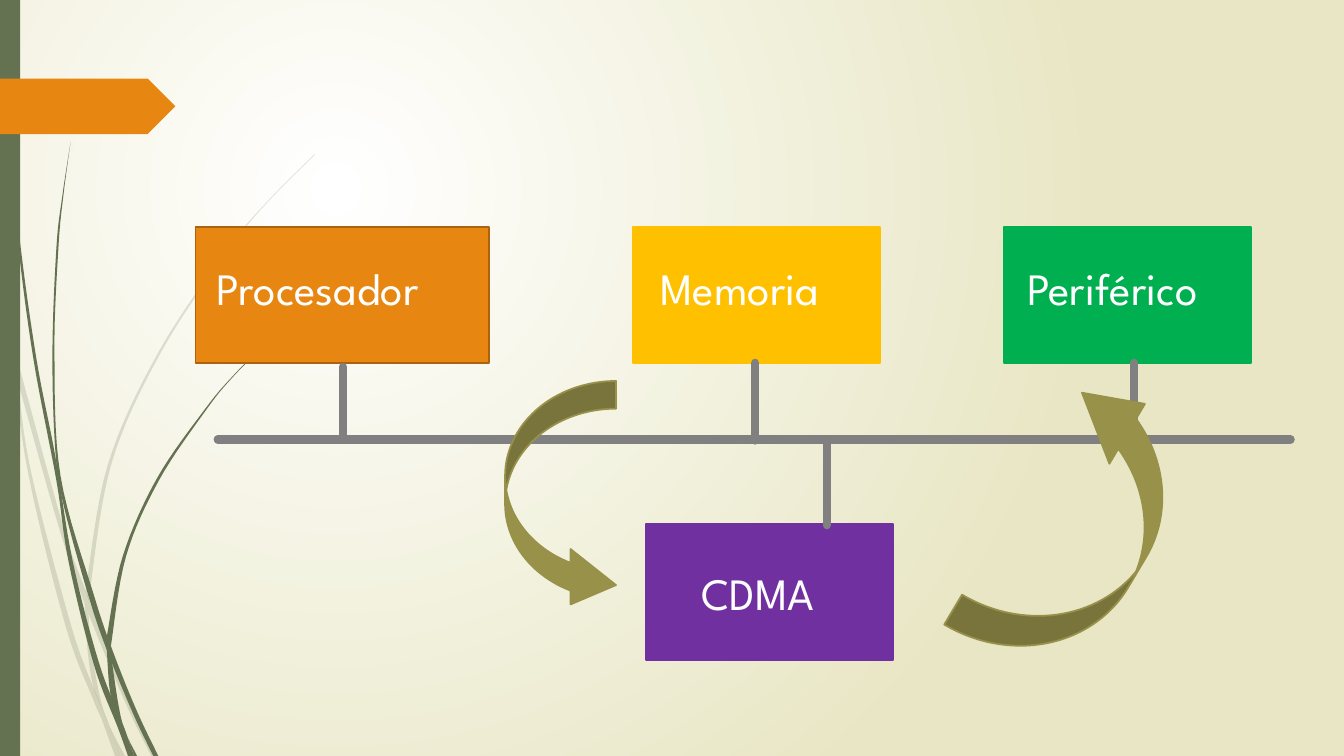
from lxml import etree
from pptx import Presentation
from pptx.dml.color import RGBColor
from pptx.enum.shapes import MSO_CONNECTOR, MSO_SHAPE
from pptx.enum.text import MSO_AUTO_SIZE
from pptx.oxml.ns import qn
from pptx.util import Inches, Pt

RECTANGLE = MSO_SHAPE.RECTANGLE
PENTAGON = MSO_SHAPE.PENTAGON
CURVED_RIGHT = MSO_SHAPE.CURVED_RIGHT_ARROW
CURVED_UP = MSO_SHAPE.CURVED_UP_ARROW
STRAIGHT = MSO_CONNECTOR.STRAIGHT
FIT_TEXT = MSO_AUTO_SIZE.SHAPE_TO_FIT_TEXT

WHITE = RGBColor(0xFF, 0xFF, 0xFF)
CREAM = RGBColor(0xE8, 0xE6, 0xC4)
MOSS = RGBColor(0x64, 0x72, 0x52)
ORANGE = RGBColor(0xE7, 0x87, 0x12)
DARK_ORANGE = RGBColor(0xAB, 0x64, 0x0D)
PURPLE = RGBColor(0x70, 0x30, 0xA0)
YELLOW = RGBColor(0xFF, 0xC0, 0x00)
GREEN = RGBColor(0x00, 0xB0, 0x50)
GREY = RGBColor(0x80, 0x80, 0x80)
OLIVE = RGBColor(0x98, 0x91, 0x4A)
FONT = "League Spartan"


def paint(shape, fill, line=None):
    shape.shadow.inherit = False
    shape.fill.solid()
    shape.fill.fore_color.rgb = fill
    if line is None:
        shape.line.fill.background()
    else:
        shape.line.color.rgb = line
        shape.line.width = Pt(1.25)


def smooth(points, steps=8):
    """Catmull-Rom curve through the points."""
    padded = [points[0], *points, points[-1]]
    curve = []
    for a, b, c, d in zip(padded, padded[1:], padded[2:], padded[3:]):
        for step in range(steps):
            t = step / steps
            curve.append(tuple(
                (2 * q + (r - p) * t + (2 * p - 5 * q + 4 * r - s) * t**2
                 + (3 * q - p - 3 * r + s) * t**3) / 2
                for p, q, r, s in zip(a, b, c, d)))
    return curve + [points[-1]]


presentation = Presentation()
presentation.slide_width = Inches(13.33)
presentation.slide_height = Inches(7.5)
slide = presentation.slides.add_slide(presentation.slide_layouts[6])
shapes = slide.shapes

# Background: circular gradient
background = slide.background.fill
background.gradient()
for stop, color in zip(background.gradient_stops, (WHITE, CREAM)):
    stop.color.rgb = color
gradient = next(slide.element.iter(qn("a:gradFill")))
linear = gradient.find(qn("a:lin"))
circle = etree.Element(qn("a:path"), path="circle")
etree.SubElement(circle, qn("a:fillToRect"), l="50000", t="50000", r="100000", b="100000")
gradient.replace(linear, circle)

# Grass blades: left edge and right edge, from tip to root
faint_blades = [
    ([(0, 2.99), (0.1, 3.44), (0.28, 4.7), (0.65, 6.21), (0.92, 6.93), (1.01, 7.14), (1.14, 7.5)],
     [(0, 2.82), (0.09, 3.22), (0.17, 3.76), (0.31, 4.69), (0.7, 6.19), (0.93, 6.83),
      (1.05, 7.11), (1.19, 7.5)]),
    ([(0.17, 3.76), (0.58, 5.22), (0.84, 5.99), (1.23, 6.94), (1.5, 7.5)],
     [(0.14, 3.45), (0.62, 5.2), (0.85, 5.86), (1.27, 6.92), (1.55, 7.5)]),
    ([(3.12, 1.53), (2.68, 1.97), (2.28, 2.44), (1.58, 3.48), (1.07, 4.61), (0.85, 5.86)],
     [(3.12, 1.54), (2.68, 1.98), (2.29, 2.45), (1.6, 3.49), (1.1, 4.62), (0.88, 5.96)]),
    ([(0.84, 5.99), (0.87, 6.46), (0.93, 6.83), (1.05, 7.11), (1.19, 7.5)],
     [(0.88, 6.1), (0.91, 6.46), (1.03, 7.06), (1.24, 7.5)]),
]
dark_blades = [
    ([(0.03, 0), (0.07, 1.1), (0.17, 2.33), (0.33, 3.55), (0.56, 4.77), (0.68, 5.57),
      (0.93, 6.59), (1.17, 7.22), (1.27, 7.5)],
     [(0.04, 0), (0.08, 1.09), (0.19, 2.32), (0.36, 3.55), (0.55, 4.53), (0.72, 5.56),
      (0.98, 6.57), (1.22, 7.19), (1.33, 7.5)]),
    ([(0.7, 1.41), (0.62, 1.93), (0.56, 2.45), (0.52, 3.49), (0.55, 4.49), (0.64, 5.05),
      (0.88, 5.92), (1.06, 6.45), (1.32, 7.08), (1.52, 7.5)],
     [(0.7, 1.41), (0.63, 1.93), (0.58, 2.45), (0.54, 3.49), (0.6, 4.72),
      (0.93, 5.9), (1.13, 6.49), (1.36, 7.06), (1.57, 7.5)]),
    ([(2.6, 3.44), (2.31, 3.73), (2.04, 4.05), (1.56, 4.74), (1.22, 5.51), (1.06, 6.31)],
     [(2.61, 3.44), (2.31, 3.74), (2.05, 4.06), (1.58, 4.76), (1.25, 5.52), (1.1, 6.41)]),
    ([(1.06, 6.31), (1.06, 6.45), (1.1, 6.91), (1.22, 7.19), (1.33, 7.5)],
     [(1.1, 6.41), (1.11, 6.56), (1.21, 7.16), (1.36, 7.5)]),
]
for blades, opacity in ((faint_blades, 20), (dark_blades, 100)):
    for left_edge, right_edge in blades:
        outline = [(Inches(x), Inches(y))
                   for x, y in smooth(left_edge) + smooth(right_edge)[::-1]]
        builder = shapes.build_freeform(*outline[0])
        builder.add_line_segments(outline[1:], close=True)
        blade = builder.convert_to_shape()
        paint(blade, MOSS)
        if opacity < 100:
            color = blade.fill._xPr.find(qn("a:solidFill"))[0]
            etree.SubElement(color, qn("a:alpha"), val=str(opacity * 1000))

# Side band and page tag
band = shapes.add_shape(RECTANGLE, 0, 0, Inches(0.2), Inches(7.5))
paint(band, MOSS)
tag = shapes.add_shape(PENTAGON, 0, Inches(0.78), Inches(1.74), Inches(0.55))
paint(tag, ORANGE)

# Device boxes: left, top, width, fill, outline
for left, top, width, fill, line in (
    (1.94, 2.25, 2.91, ORANGE, DARK_ORANGE),
    (6.41, 5.2, 2.45, PURPLE, PURPLE),
    (6.28, 2.25, 2.45, YELLOW, YELLOW),
    (9.96, 2.25, 2.45, GREEN, GREEN),
):
    box = shapes.add_shape(RECTANGLE, Inches(left), Inches(top), Inches(width), Inches(1.35))
    paint(box, fill, line)

# Device names
for name, left, top, width in (
    ("Procesador", 2.05, 2.54, 2.72),
    ("Memoria", 6.45, 2.54, 2.25),
    ("Periférico", 10.09, 2.54, 2.23),
    ("CDMA", 6.86, 5.56, 1.7),
):
    label = shapes.add_textbox(Inches(left), Inches(top), Inches(width), Inches(0.64))
    label.text_frame.word_wrap = True
    label.text_frame.auto_size = FIT_TEXT
    run = label.text_frame.paragraphs[0].add_run()
    run.text = name
    run.font.name = FONT
    run.font.size = Pt(32)
    run.font.color.rgb = WHITE

# Bus and its four stems
for x1, y1, x2, y2 in (
    (2.16, 4.36, 12.8, 4.36),
    (3.4, 3.64, 3.4, 4.35),
    (7.49, 3.6, 7.49, 4.37),
    (8.2, 4.38, 8.2, 5.21),
    (11.25, 3.6, 11.25, 4.37),
):
    wire = shapes.add_connector(STRAIGHT, Inches(x1), Inches(y1), Inches(x2), Inches(y2))
    wire.line.color.rgb = GREY
    wire.line.width = Pt(6)
    wire.line._ln.set("cap", "rnd")
    etree.SubElement(wire._element.spPr, qn("a:effectLst"))

# Transfer arrows: memory to CDMA, CDMA to peripheral
for kind, left, top, width, height, head, rotation in (
    (CURVED_RIGHT, 5.01, 3.78, 1.1, 2.3, 0.41, 0),
    (CURVED_UP, 9.22, 4.56, 3.02, 1.38, 0.43, 300.7),
):
    arrow = shapes.add_shape(kind, Inches(left), Inches(top), Inches(width), Inches(height))
    arrow.adjustments[2] = head
    arrow.rotation = rotation
    paint(arrow, OLIVE, OLIVE)

presentation.save("out.pptx")
